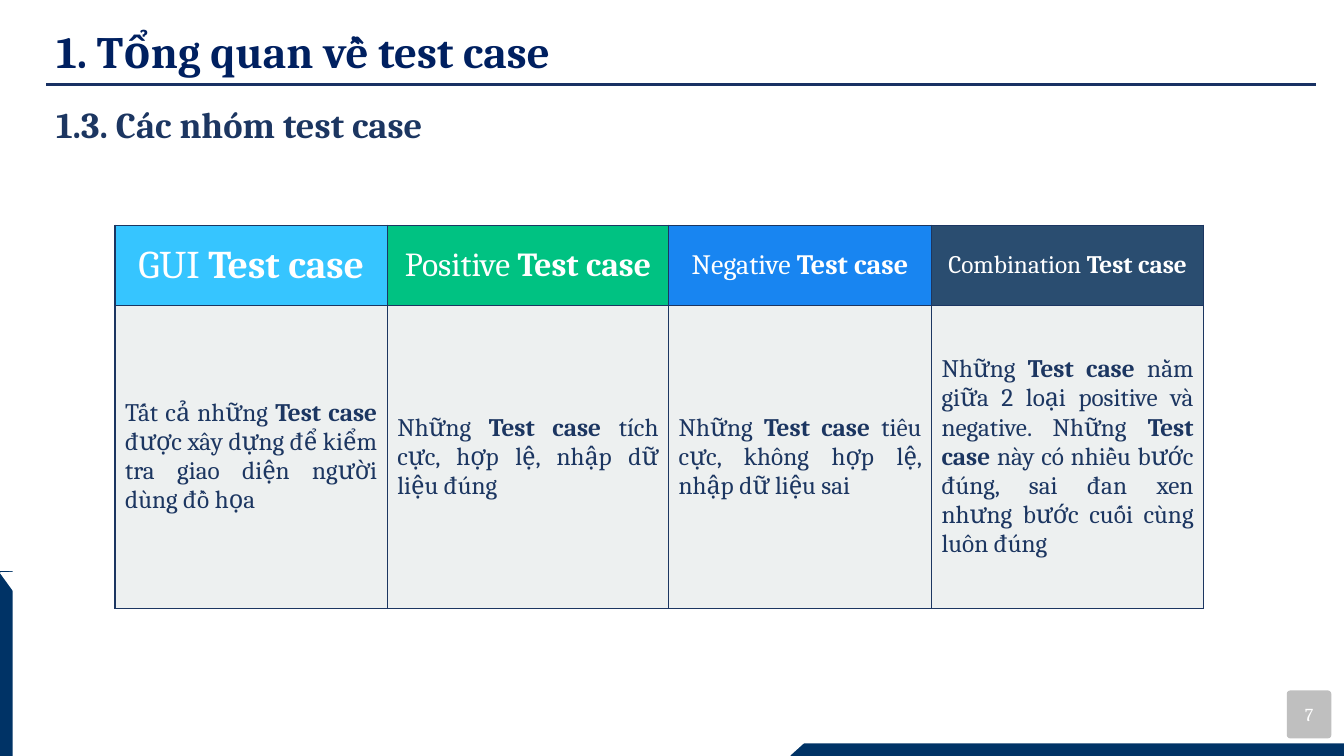
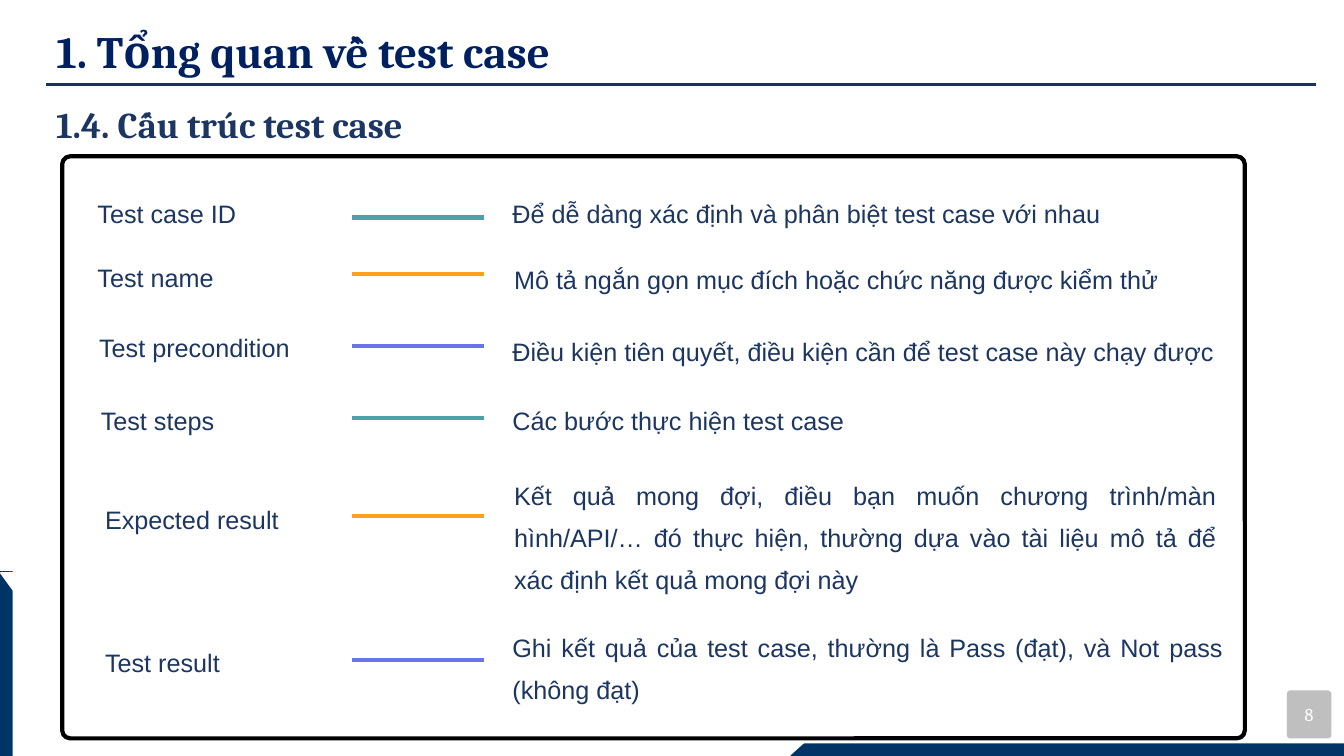
"""Build two slides on test case groups and test case structure."""
from dataclasses import dataclass
from typing import Any

from lxml import etree
from pptx import Presentation
from pptx import util as u
from pptx.dml.color import RGBColor
from pptx.enum import shapes as sh
from pptx.enum import text as tx
from pptx.oxml.ns import qn

COLS, ROWS = 160, 90
UNIT = u.Inches(7.5) / ROWS

WHITE = RGBColor(0xFF, 0xFF, 0xFF)
BLACK = RGBColor(0, 0, 0)
GREY = RGBColor(0xBF, 0xBF, 0xBF)
PALE = RGBColor(0xED, 0xF0, 0xF0)
BAND = RGBColor(0x00, 0x33, 0x66)
RULE = RGBColor(0x18, 0x31, 0x63)
NAVY = RGBColor(0x00, 0x20, 0x60)
INK = RGBColor(0x1C, 0x36, 0x61)
TEAL = RGBColor(0x4D, 0xA1, 0xA9)
AMBER = RGBColor(0xFF, 0x9F, 0x1C)
VIOLET = RGBColor(0x68, 0x74, 0xE8)
HUES = (TEAL, AMBER, VIOLET)

SERIF, SANS = "Cambria", "Arial"
KIND = sh.MSO_SHAPE
ALIGN = tx.PP_ALIGN
LEFT, MID, JUST = ALIGN.LEFT, ALIGN.CENTER, ALIGN.JUSTIFY
GROW = tx.MSO_AUTO_SIZE.SHAPE_TO_FIT_TEXT
CENTRE = tx.MSO_ANCHOR.MIDDLE
FLUSH = {f"margin_{side}": 0 for side in ("left", "top", "right", "bottom")}


@dataclass(frozen=True)
class Area:
    x: float
    y: float
    w: float
    h: float

    def emu(self) -> tuple[int, ...]:
        return tuple(grid(n) for n in (self.x, self.y, self.w, self.h))


@dataclass(frozen=True)
class Look:
    size: float
    color: RGBColor
    face: str = SERIF
    bold: bool = False
    align: Any = LEFT
    lead: float | None = None


@dataclass(frozen=True)
class Group:
    head: str
    size: int
    fill: RGBColor
    width: float
    body: str


@dataclass(frozen=True)
class Part:
    name: str
    spot: tuple[float, float]
    rule: float
    note: str
    area: Area
    align: Any = LEFT


GROUPS = (
    Group("GUI *Test case*", 28, RGBColor(0x36, 0xC5, 0xFF), 32.4,
          "Tất cả những *Test case* được xây dựng để kiểm tra giao diện người dùng đồ họa"),
    Group("Positive *Test case*", 24, RGBColor(0x00, 0xC2, 0x82), 33.5,
          "Những *Test case *tích cực, hợp lệ, nhập dữ liệu đúng"),
    Group("Negative *Test case*", 20, RGBColor(0x18, 0x85, 0xF1), 31.3,
          "Những *Test case *tiêu cực, không hợp lệ, nhập dữ liệu sai"),
    Group("Combination *Test case*", 18, RGBColor(0x2A, 0x4D, 0x70), 32.4,
          "Những *Test case* nằm giữa 2 loại positive và negative. Những *Test case* "
          "này có nhiều bước đúng, sai đan xen nhưng bước cuối cùng luôn đúng"),
)

PARTS = (
    Part("Test case ID", (11.6, 22.9), 25.9,
         "Để dễ dàng xác định và phân biệt test case với nhau", Area(61, 22.2, 71.5, 5.1)),
    Part("Test name", (11.6, 30.5), 32.6,
         "Mô tả ngắn gọn mục đích hoặc chức năng được kiểm thử", Area(61.2, 30, 84.4, 5.1)),
    Part("Test precondition", (11.8, 38.9), 41.2,
         "Điều kiện tiên quyết, điều kiện cần để test case này chạy được",
         Area(61, 38.6, 86, 5.1)),
    Part("Test steps", (12, 47.5), 49.8,
         "Các bước thực hiện test case", Area(61, 46.8, 67.3, 5.1)),
    Part("Expected result", (12.5, 59.3), 61.4,
         "Kết quả mong đợi, điều bạn muốn chương trình/màn hình/API/… đó thực hiện, "
         "thường dựa vào tài liệu mô tả để xác định kết quả mong đợi này",
         Area(61.2, 55.7, 83.6, 15.2), JUST),
    Part("Test result", (12.5, 76.4), 78.6,
         "Ghi kết quả của test case, thường là Pass (đạt), và Not pass (không đạt)",
         Area(61, 73.8, 84.6, 10.2), JUST),
)


def grid(n: float) -> int:
    return round(n * UNIT)


def apply(item: Any, vals: dict[str, Any]) -> None:
    for key, val in vals.items():
        setattr(item, key, val)


def write(frame: Any, words: str, look: Look) -> None:
    para = frame.paragraphs[0]
    apply(para, {"alignment": look.align, "line_spacing": look.lead})
    for i, piece in enumerate(words.split("*")):
        if piece:
            run = para.add_run()
            run.text = piece
            apply(run.font, {"size": u.Pt(look.size), "name": look.face,
                             "bold": look.bold or i % 2 == 1})
            run.font.color.rgb = look.color


def label(slide: Any, area: Area, words: str, look: Look, **form: Any) -> None:
    frame = slide.shapes.add_textbox(*area.emu()).text_frame
    apply(frame, {"word_wrap": True, "auto_size": GROW, **form})
    write(frame, words, look)


def block(slide: Any, kind: Any, area: Area, fill: RGBColor | None = None,
          edge: RGBColor | None = None, width: float = 1, turn: float = 0,
          curve: float | None = None) -> Any:
    shape = slide.shapes.add_shape(kind, *area.emu())
    shape.shadow.inherit = False
    shape.rotation = turn
    if curve is not None:
        shape.adjustments[0] = curve
    for part, hue in ((shape.fill, fill), (shape.line.fill, edge)):
        if hue is None:
            part.background()
        else:
            part.solid()
            part.fore_color.rgb = hue
    if edge is not None:
        shape.line.width = u.Pt(width)
    return shape


def rule(slide: Any, x: float, end: float, y: float, hue: RGBColor, width: float) -> None:
    line = slide.shapes.add_connector(
        sh.MSO_CONNECTOR.STRAIGHT, grid(x), grid(y), grid(end), grid(y))
    line.line.color.rgb = hue
    line.line.width = u.Pt(width)
    etree.SubElement(line._element.spPr, qn("a:effectLst"))


def border(cell: Any, hue: RGBColor) -> None:
    props = cell._tc.get_or_add_tcPr()
    for side in "LRTB":
        edge = etree.SubElement(props, qn(f"a:ln{side}"), w=str(u.Pt(1)))
        fill = etree.SubElement(edge, qn("a:solidFill"))
        etree.SubElement(fill, qn("a:srgbClr"), val=str(hue))


def start(deck: Any, page: int, head: str) -> Any:
    slide = deck.slides.add_slide(deck.slide_layouts[5])
    block(slide, KIND.RECTANGLE, Area(94.1, 88.5, 65.9, 1.5), BAND)
    block(slide, KIND.RECTANGLE, Area(0, 68, 1.5, 22), BAND)
    for x, y, turn in ((0.4, 67.6, 54.1), (93.2, 86.9, 82.2)):
        block(slide, KIND.ISOSCELES_TRIANGLE, Area(x, y, 3.4, 2.5), WHITE, WHITE, turn=turn)
    badge = block(slide, KIND.ROUNDED_RECTANGLE, Area(153.2, 82.2, 5.3, 5.7), GREY, curve=0.075)
    apply(badge.text_frame, {**FLUSH, "vertical_anchor": CENTRE})
    write(badge.text_frame, str(page), Look(13, WHITE, align=MID))
    rule(slide, 5.5, 156.7, 10.1, RULE, 2)
    title = slide.shapes.title
    spot = Area(5.5, 3, 136, 6.1).emu()
    apply(title, dict(zip(("left", "top", "width", "height"), spot)))
    apply(title.text_frame, {"vertical_anchor": CENTRE, "word_wrap": True,
                             "auto_size": tx.MSO_AUTO_SIZE.NONE})
    write(title.text_frame, "1. Tổng quan về test case", Look(32, NAVY, bold=True))
    label(slide, Area(5.5, 11.6, 146.6, 6.5), head, Look(26, INK, bold=True))
    return slide


def groups(deck: Any) -> None:
    slide = start(deck, 7, "1.3. Các nhóm test case")
    tall = (9.6, 36)
    area = Area(13.7, 26.8, sum(g.width for g in GROUPS), sum(tall))
    table = slide.shapes.add_table(len(tall), len(GROUPS), *area.emu()).table
    apply(table, {"first_row": False, "horz_banding": False})
    for row, high in zip(table.rows, tall):
        row.height = grid(high)
    for col, group in enumerate(GROUPS):
        table.columns[col].width = grid(group.width)
        cells = ((group.head, group.fill, Look(group.size, WHITE, align=MID)),
                 (group.body, PALE, Look(18, INK, align=JUST)))
        for row, (words, fill, look) in enumerate(cells):
            cell = table.cell(row, col)
            border(cell, INK)
            cell.fill.solid()
            cell.fill.fore_color.rgb = fill
            cell.vertical_anchor = CENTRE
            write(cell.text_frame, words, look)


def parts(deck: Any) -> None:
    slide = start(deck, 8, "1.4. Cấu trúc test case")
    block(slide, KIND.ROUNDED_RECTANGLE, Area(7.4, 18.6, 140.8, 69.3),
          edge=BLACK, width=3, curve=0.014)
    for i, part in enumerate(PARTS):
        label(slide, Area(*part.spot, 28, 4.3), part.name,
              Look(18, INK, SANS, lead=1.2), **FLUSH)
        rule(slide, 41.9, 57.6, part.rule, HUES[i % len(HUES)], 3)
        label(slide, part.area, part.note,
              Look(18, INK, SANS, align=part.align, lead=1.4), **FLUSH)


def main() -> None:
    deck = Presentation()
    apply(deck, {"slide_width": grid(COLS), "slide_height": grid(ROWS)})
    groups(deck)
    parts(deck)
    deck.save("out.pptx")


if __name__ == "__main__":
    main()
